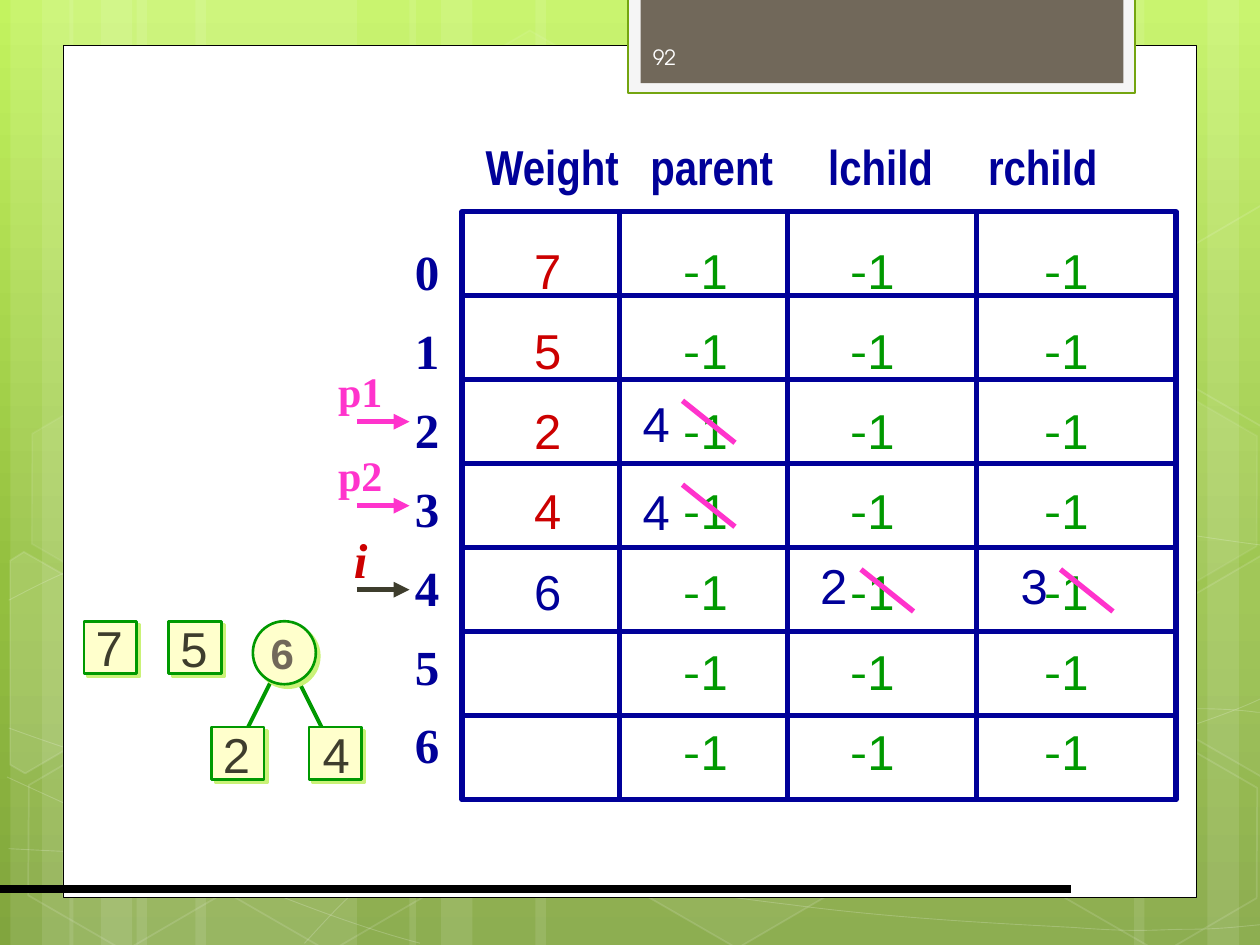
from copy import deepcopy
from pptx import Presentation
from pptx.dml.color import RGBColor as RGB
from pptx.enum.shapes import MSO_CONNECTOR as Conn, MSO_SHAPE as Kind
from pptx.enum.text import MSO_ANCHOR as Anchor, PP_ALIGN as Align
from pptx.oxml import parse_xml
from pptx.oxml.ns import nsdecls, qn
from pptx.util import Pt

WHITE, BLACK = RGB(255, 255, 255), RGB(0, 0, 0)
NAVY, RED, GREEN = RGB(0, 0, 0x99), RGB(0xCC, 0, 0), RGB(0, 0x99, 0)
PINK, DARK, TAUPE = RGB(255, 0x33, 0xCC), RGB(0x3E, 0x3D, 0x2D), RGB(0x71, 0x68, 0x5A)
CREAM, SHADE, PALE = RGB(255, 255, 0xCC), RGB(0xCA, 0xF2, 0x78), RGB(0xF5, 0xF5, 0xF5)
OLIVE, NEAR = RGB(0x74, 0xA5, 0x10), RGB(0xFE, 0xFE, 0xFE)
SANS, SERIF, CJK, SLIM = "Arial", "Times New Roman", "Noto Sans CJK SC", "Arial Narrow"

SKY = [(0, RGB(0xC3, 0xF3, 0x5F)), (0.62, RGB(0x93, 0xBF, 0x3F)), (1, RGB(0x81, 0xA5, 0x3E))]
STRIPES = [(78, 126), (6, 36), (24, 60), (111.6, 126), (39.6, 36), (57.6, 60),
           (528, 126), (690, 36), (648, 60), (306, 222), (234, 36), (252, 60)]
CURVES = [
    [(5, 485), (44, 487), (83, 489), (137, 488), (191, 487), (258, 486), (330, 479),
     (402, 472), (504, 458), (570, 444), (636, 431), (703, 409), (725, 397)],
    [(5, 343), (26, 332), (47, 321), (87, 310), (128, 300), (186, 284), (250, 279),
     (314, 274), (392, 273), (471, 279), (550, 284), (682, 307), (725, 312)],
    [(4, 444), (91, 484), (178, 523), (240, 539)],
    [(5, 416), (27, 424), (50, 432), (92, 444), (134, 454), (197, 472), (257, 485),
     (317, 497), (392, 510), (452, 517), (512, 525), (576, 528), (614, 530),
     (652, 533), (662, 531), (680, 531), (699, 531), (712, 529), (725, 528)],
    [(174, 539), (187, 525), (200, 510), (217, 498), (235, 485), (259, 470), (279, 460),
     (300, 450), (312, 446), (338, 438), (364, 431), (413, 421), (438, 416),
     (464, 411), (467, 411), (490, 410), (512, 408), (547, 405), (572, 405),
     (597, 404), (638, 405), (638, 405), (654, 405), (670, 405), (686, 405),
     (699, 405), (711, 406), (718, 407), (724, 407), (722, 407), (724, 408)],
]
HEXES = [(240, 26, 4, 8), (358, 424, 6, 12), (8, 425.5, 0, 12), (10, 224.6, 7, 8),
         (125, 426, 0, 12), (542, 326, 10, 12), (600.5, 427, 0, 12), (600.5, 226, 7, 8)]
CUTS = [
    ([(5.8, 320.4), (13.7, 315.4), (69, 347), (68.4, 410.4), (14.4, 442), (5.8, 437)], 10),
    ([(666.7, 349), (720.7, 317.5), (726.5, 321), (726.5, 441.4), (721.4, 444.2), (666.7, 412.6)], 4),
    ([(666.7, 149), (720.7, 117.4), (727.2, 121), (726.5, 241.2), (721.4, 244), (666.7, 212.4)], 0),
]

HEADS, HEAD_TABS = ["Weight", "parent", "lchild", "rchild"], [94.1, 195.7, 287.1]
WEIGHTS = [("7", RED), ("5", RED), ("2", RED), ("4", RED), ("6", NAVY), ("", NAVY), ("", NAVY)]
BODY_TABS = [85.4, 180.7, 291.6]
COLS = [264, 354, 450, 558, 672]
TOP, ROW, STEP = 121, 48, 45.9
END = TOP + ROW * len(WEIGHTS)
NODES = [("7", 48, 355, 47.5, 349.2), ("5", 96.5, 355, 95.8, 350),
         ("2", 121, 415.5, 120.2, 410.4), ("4", 176.5, 415.5, 177.1, 410.4)]
EDGES = [(168.5, 186.5), (157, 139)]
MARKS = [("p1", 186, 205.2, 39.6, 36, 24, PINK, PINK), ("p2", 186, 253.4, 39.6, 36, 24, PINK, PINK),
         ("i", 195, 298.8, 22.3, 41, 28, RED, DARK)]
FIXES = [("4", 360, 221, 390, 229), ("4", 360, 271.5, 390, 277),
         ("2", 461.5, 314, 492, 325.4), ("3", 576, 314, 606, 325.4)]

deck = Presentation()
deck.slide_width, deck.slide_height = Pt(720), Pt(540)
slide = deck.slides.add_slide(deck.slide_layouts[6])
shapes = slide.shapes


def paint(shape, fill=None, line=None, width=1, glow=100, edge=100):
    shape.shadow.inherit = False
    if fill is None:
        shape.fill.background()
    else:
        shape.fill.solid()
        shape.fill.fore_color.rgb = fill
    if line is None:
        shape.line.fill.background()
    else:
        shape.line.color.rgb = line
        shape.line.width = Pt(width)
    props = shape.element.spPr
    for way, part in (("a:solidFill/a:srgbClr", glow), ("a:ln/a:solidFill/a:srgbClr", edge)):
        tint = props.find("/".join(qn(tag) for tag in way.split("/")))
        if tint is not None and part < 100:
            tint.append(parse_xml(f'<a:alpha {nsdecls("a")} val="{part * 1000}"/>'))
    return shape


def draw(kind, x, y, w, h, **look):
    return paint(shapes.add_shape(kind, Pt(x), Pt(y), Pt(w), Pt(h)), **look)


def trace(dots, close, **look):
    dots = [(Pt(x), Pt(y)) for x, y in dots]
    pen = shapes.build_freeform(*dots[0])
    pen.add_line_segments(dots[1:], close=close)
    return paint(pen.convert_to_shape(), **look)


def bend(shape):
    legs = list(shape.element.iter(qn("a:lnTo")))
    for k in range(0, len(legs), 3):
        curve = parse_xml(f'<a:cubicBezTo {nsdecls("a")}/>')
        legs[k].addprevious(curve)
        for leg in legs[k:k + 3]:
            curve.append(leg[0])
            leg.getparent().remove(leg)


def join(x1, y1, x2, y2, color, width=3, arrow=False):
    line = shapes.add_connector(Conn.STRAIGHT, Pt(x1), Pt(y1), Pt(x2), Pt(y2))
    line.line.color.rgb = color
    line.line.width = Pt(width)
    if arrow:
        line.line._get_or_add_ln().append(parse_xml(f'<a:tailEnd {nsdecls("a")} type="triangle"/>'))
    line.element.spPr.append(parse_xml(f'<a:effectLst {nsdecls("a")}/>'))


def say(para, text, size, color, face=SANS, bold=False, slant=False):
    run = para.add_run()
    run.text = text
    font = run.font
    font.size, font.name, font.bold, font.italic = Pt(size), face, bold, slant
    font.color.rgb = color


def frame_at(x, y, w, h, align=Align.CENTER):
    frame = shapes.add_textbox(Pt(x), Pt(y), Pt(w), Pt(h)).text_frame
    frame.word_wrap = True
    frame.vertical_anchor = Anchor.MIDDLE
    frame.margin_left = frame.margin_right = frame.margin_top = frame.margin_bottom = 0
    frame.paragraphs[0].alignment = align
    return frame


def label(text, x, y, w, h, size, color, align=Align.CENTER, **style):
    say(frame_at(x, y, w, h, align).paragraphs[0], text, size, color, **style)


def set_tabs(para, places):
    marks = "".join(f'<a:tab pos="{Pt(place)}" algn="l"/>' for place in places)
    para._p.get_or_add_pPr().append(parse_xml(f'<a:tabLst {nsdecls("a")}>{marks}</a:tabLst>'))


def node(kind, x, y, side):
    shape = draw(kind, x, y, side, side, fill=CREAM, line=GREEN, width=1.5)
    shape.element.spPr.find(qn("a:effectLst")).append(parse_xml(
        f'<a:outerShdw {nsdecls("a")} dist="{Pt(2.8)}" dir="2700000" algn="ctr" rotWithShape="0">'
        f'<a:srgbClr val="{SHADE}"/></a:outerShdw>'))


sky = slide.background.fill
sky.gradient()
sky.gradient_angle = 270
stops = slide.element.find(".//" + qn("a:gsLst"))
stops.insert(1, deepcopy(stops[0]))
for stop, (place, color) in zip(sky.gradient_stops, SKY):
    stop.position, stop.color.rgb = place, color

for x, w in STRIPES:
    draw(Kind.RECTANGLE, x, 0, w, 540, fill=WHITE, glow=10)
for dots in CURVES:
    bend(trace(dots, False, line=WHITE, width=0.5, edge=20))
for x, y, glow, edge in HEXES:
    hexa = draw(Kind.HEXAGON, x, y, 126, 109.4, fill=WHITE if glow else None,
                line=WHITE, glow=glow, edge=edge)
    hexa.adjustments[0] = 0.285
    hexa.rotation = 30
for dots, glow in CUTS:
    trace(dots, True, fill=WHITE if glow else None, line=WHITE, glow=glow, edge=12)

draw(Kind.RECTANGLE, 36, 26, 648, 487, fill=WHITE, line=BLACK, width=0.5)
draw(Kind.RECTANGLE, 359, -1.5, 289.5, 54.8, fill=PALE, line=OLIVE, width=1.25)
draw(Kind.RECTANGLE, 366, -1.5, 276, 49, fill=TAUPE)
join(0, 508, 612, 508, BLACK, 4.5)
label("92", 373, 18, 98, 29, 12, NEAR, Align.LEFT, face="TeX Gyre Adventor")

for x1, x2 in EDGES:
    join(x1, 385, x2, 421, GREEN, 2.25)
for text, x, y, left, top in NODES:
    node(Kind.RECTANGLE, x, y, 30)
    label(text, left, top, 30, 41, 28, DARK)
node(Kind.OVAL, 144.5, 355, 36)
label("6", 140.4, 355, 41.8, 36, 24, TAUPE, bold=True)

draw(Kind.RECTANGLE, COLS[0], TOP, COLS[-1] - COLS[0], END - TOP, line=NAVY, width=3)
for x in COLS[1:-1]:
    join(x, TOP, x, END, NAVY)
for r in range(1, len(WEIGHTS)):
    join(COLS[0], TOP + ROW * r, COLS[-1], TOP + ROW * r, NAVY)

heads = frame_at(277.5, 74.2, 358.5, 41, Align.LEFT).paragraphs[0]
set_tabs(heads, HEAD_TABS)
say(heads, "\t".join(HEADS), 28, NAVY, SLIM, True)

body = frame_at(290.2, 124.9, 351.4, 330, Align.LEFT)
body.margin_left = Pt(15)
body.vertical_anchor = Anchor.TOP
index = frame_at(229.7, 126.7, 28.8, 325)
for r, (weight, color) in enumerate(WEIGHTS):
    line, count = [box.add_paragraph() if r else box.paragraphs[0] for box in (body, index)]
    line.line_spacing = Pt(STEP)
    set_tabs(line, BODY_TABS)
    if weight:
        say(line, weight, 28, color)
    for _ in BODY_TABS:
        say(line, "\t", 28, GREEN)
        say(line, "-", 28, GREEN, CJK)
        say(line, "1", 28, GREEN)
    count.alignment, count.line_spacing = Align.CENTER, 1.05
    if r:
        count.space_before = Pt(9.8)
    say(count, str(r), 28, NAVY, SERIF, True)

for r, (text, x, y, w, h, size, color, tint) in enumerate(MARKS, 2):
    mid = TOP + ROW * (r + 0.5)
    join(204, mid, 234, mid, tint, arrow=True)
    label(text, x, y, w, h, size, color, face=SERIF, bold=True, slant=text == "i")
for text, x, y, left, top in FIXES:
    join(left, top, left + 30, top + 24, PINK)
    label(text, x, y, 30, 41, 28, NAVY)

deck.save("out.pptx")
